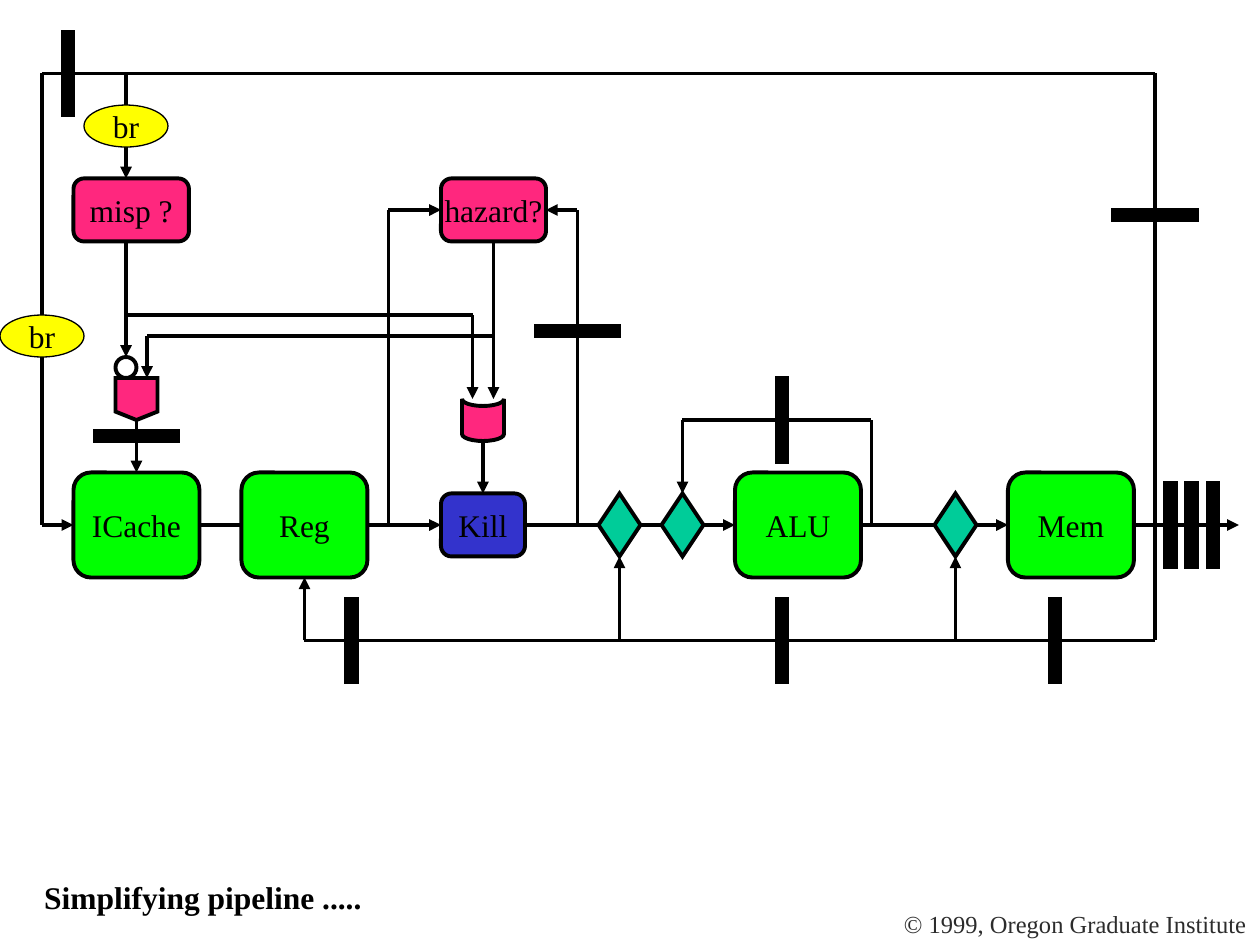
from dataclasses import dataclass
from itertools import pairwise

from pptx import Presentation
from pptx.dml.color import RGBColor
from pptx.enum.shapes import MSO_CONNECTOR, MSO_SHAPE
from pptx.enum.text import MSO_ANCHOR, MSO_AUTO_SIZE, PP_ALIGN
from pptx.oxml import parse_xml
from pptx.oxml.ns import nsdecls
from pptx.util import Pt

ROUNDED = MSO_SHAPE.ROUNDED_RECTANGLE
RECTANGLE = MSO_SHAPE.RECTANGLE
DIAMOND = MSO_SHAPE.DIAMOND
OVAL = MSO_SHAPE.OVAL
AND_GATE = MSO_SHAPE.FLOWCHART_OFFPAGE_CONNECTOR
OR_GATE = MSO_SHAPE.FLOWCHART_STORED_DATA
STRAIGHT = MSO_CONNECTOR.STRAIGHT
LEFT, CENTER = PP_ALIGN.LEFT, PP_ALIGN.CENTER
TOP, MIDDLE = MSO_ANCHOR.TOP, MSO_ANCHOR.MIDDLE
FIT_SHAPE, FIXED = MSO_AUTO_SIZE.SHAPE_TO_FIT_TEXT, MSO_AUTO_SIZE.NONE

BLACK, WHITE, GREY = "000000", "FFFFFF", "2C2C2C"
GREEN, BLUE, PINK, TEAL, YELLOW = "01FF01", "3333CC", "FF277E", "00CC99", "FFFF00"
FONT = "Times New Roman"
STROKE = 2.25
FLOW_Y = 300  # centre line of the pipeline


@dataclass
class Node:
    kind: int
    left: float
    top: float
    width: float
    height: float
    fill: str
    label: str = ""
    rotation: int = 0
    stroke: float = STROKE


@dataclass
class Wire:
    points: list
    arrow: bool = True


def color(value: str) -> RGBColor:
    return RGBColor.from_string(value)


def write(box, text: str, align=LEFT, anchor=TOP, size=18, ink=BLACK, bold=False) -> None:
    frame = box.text_frame
    frame.word_wrap = False
    frame.vertical_anchor = anchor
    para = frame.paragraphs[0]
    para.alignment = align
    span = para.add_run()
    span.text = text
    for name, value in {"name": FONT, "size": Pt(size), "bold": bold}.items():
        setattr(span.font, name, value)
    span.font.color.rgb = color(ink)


def add_line_part(shape, xml: str) -> None:
    """Add an element to the outline of a shape or connector."""
    shape.line._get_or_add_ln().append(parse_xml(xml))


def draw_node(page, node: Node, sites: dict) -> None:
    """Draw a node and record the middle of each side as a place to join."""
    left, top, width, height = node.left, node.top, node.width, node.height
    shape = page.shapes.add_shape(node.kind, Pt(left), Pt(top), Pt(width), Pt(height))
    shape.shadow.inherit = False
    shape.rotation = node.rotation
    shape.fill.solid()
    shape.fill.fore_color.rgb = color(node.fill)
    shape.line.color.rgb = color(BLACK)
    shape.line.width = Pt(node.stroke)
    add_line_part(shape, f'<a:miter {nsdecls("a")} lim="800000"/>')
    if node.label:
        write(shape, node.label, CENTER, MIDDLE)
    if not node.rotation:
        x, y = left + width / 2, top + height / 2
        sides = [(x, top), (left, y), (x, top + height), (left + width, y)]
        sites.update({side: (shape, index) for index, side in enumerate(sides)})


def draw_wire(page, wire: Wire, sites: dict) -> None:
    """Draw one connector per segment, joined wherever an end meets a node."""
    for start, end in pairwise(wire.points):
        line = page.shapes.add_connector(STRAIGHT, *map(Pt, start + end))
        line.line.color.rgb = color(BLACK)
        line.line.width = Pt(STROKE)
        if start in sites:
            line.begin_connect(*sites[start])
        if end in sites:
            line.end_connect(*sites[end])
        if wire.arrow and end == wire.points[-1]:
            add_line_part(line, f'<a:tailEnd {nsdecls("a")} type="triangle"/>')
        line._element.spPr.append(parse_xml(f'<a:effectLst {nsdecls("a")}/>'))


def stage(left: float, label: str) -> Node:
    return Node(ROUNDED, left, FLOW_Y - 30, 72, 60, GREEN, label)


def mux(left: float) -> Node:
    return Node(DIAMOND, left, FLOW_Y - 18, 24, 36, TEAL)


def latch(x: float, y: float, rotation: int = 0) -> Node:
    """A register bar centred on a wire."""
    return Node(RECTANGLE, x - 3, y - 24, 6, 48, BLACK, rotation=rotation)


def branch(left: float, top: float) -> Node:
    return Node(OVAL, left, top, 48, 24, YELLOW, "br", stroke=0.75)


# Each layer covers the one before it
STAGES = [
    stage(42, "ICache"), stage(420, "ALU"), stage(576, "Mem"),
    Node(ROUNDED, 252, 282, 48, 36, BLUE, "Kill"),
    Node(ROUNDED, 252, 102, 60, 36, PINK, "hazard?"),
    Node(ROUNDED, 42, 102, 66, 36, PINK, "misp ?"),
]
FLOW = [Wire([(start, FLOW_Y), (end, FLOW_Y)])
        for start, end in [(114, 252), (300, 420), (492, 576), (648, 708)]]
ON_FLOW = [
    stage(138, "Reg"), mux(342), mux(378), mux(534),
    Node(AND_GATE, 66, 216, 24, 24, PINK),
    Node(OVAL, 66, 204, 12, 12, WHITE),
    Node(OR_GATE, 264, 228, 24, 24, PINK, rotation=270),
]
WIRES = [
    # Gate outputs
    Wire([(78, 240), (78, 270)]),
    Wire([(276, 252), (276, 282)]),
    # Hazard inputs and outputs
    Wire([(222, FLOW_Y), (222, 120), (252, 120)]),
    Wire([(330, FLOW_Y), (330, 120), (312, 120)]),
    Wire([(282, 138), (282, 228)]),
    Wire([(282, 192), (84, 192), (84, 216)]),
    # Misprediction input and outputs
    Wire([(72, 42), (72, 102)]),
    Wire([(72, 138), (72, 204)]),
    Wire([(72, 180), (270, 180), (270, 228)]),
    # Feedback loops
    Wire([(660, FLOW_Y), (660, 42), (24, 42), (24, FLOW_Y), (42, FLOW_Y)]),
    Wire([(660, FLOW_Y), (660, 366), (174, 366), (174, 330)]),
    Wire([(498, FLOW_Y), (498, 240), (390, 240), (390, 282)]),
    Wire([(354, 366), (354, 318)]),
    Wire([(546, 366), (546, 318)]),
]
ON_WIRES = [
    *[latch(x, FLOW_Y) for x in (669, 681, 693)],
    *[latch(x, 366) for x in (201, 447, 603)],
    latch(447, 240), latch(39, 42),
    *[latch(x, y, 270) for x, y in [(78, 249), (330, 189), (660, 123)]],
    branch(0, 180), branch(48, 60),
]


def main() -> None:
    deck = Presentation()
    deck.slide_width, deck.slide_height = Pt(720), Pt(540)
    page = deck.slides.add_slide(deck.slide_layouts[5])

    # Title below the diagram
    title = page.shapes.title
    place = {"left": Pt(18), "top": Pt(498), "width": Pt(196), "height": Pt(29)}
    for name, value in place.items():
        setattr(title, name, value)
    write(title, "Simplifying pipeline .....", bold=True)
    title.text_frame.auto_size = FIT_SHAPE

    # Copyright line, with no side margins so that it stays on one line
    notice = page.shapes.add_textbox(Pt(516.5), Pt(516), Pt(203), Pt(24))
    write(notice, "© 1999, Oregon Graduate Institute", size=14, ink=GREY)
    margins = {"margin_left": 0, "margin_right": 0, "auto_size": FIXED}
    for name, value in margins.items():
        setattr(notice.text_frame, name, value)

    # Pipeline diagram
    sites = {}
    for part in STAGES + FLOW + ON_FLOW + WIRES + ON_WIRES:
        draw = draw_wire if isinstance(part, Wire) else draw_node
        draw(page, part, sites)

    deck.save("out.pptx")


if __name__ == "__main__":
    main()
